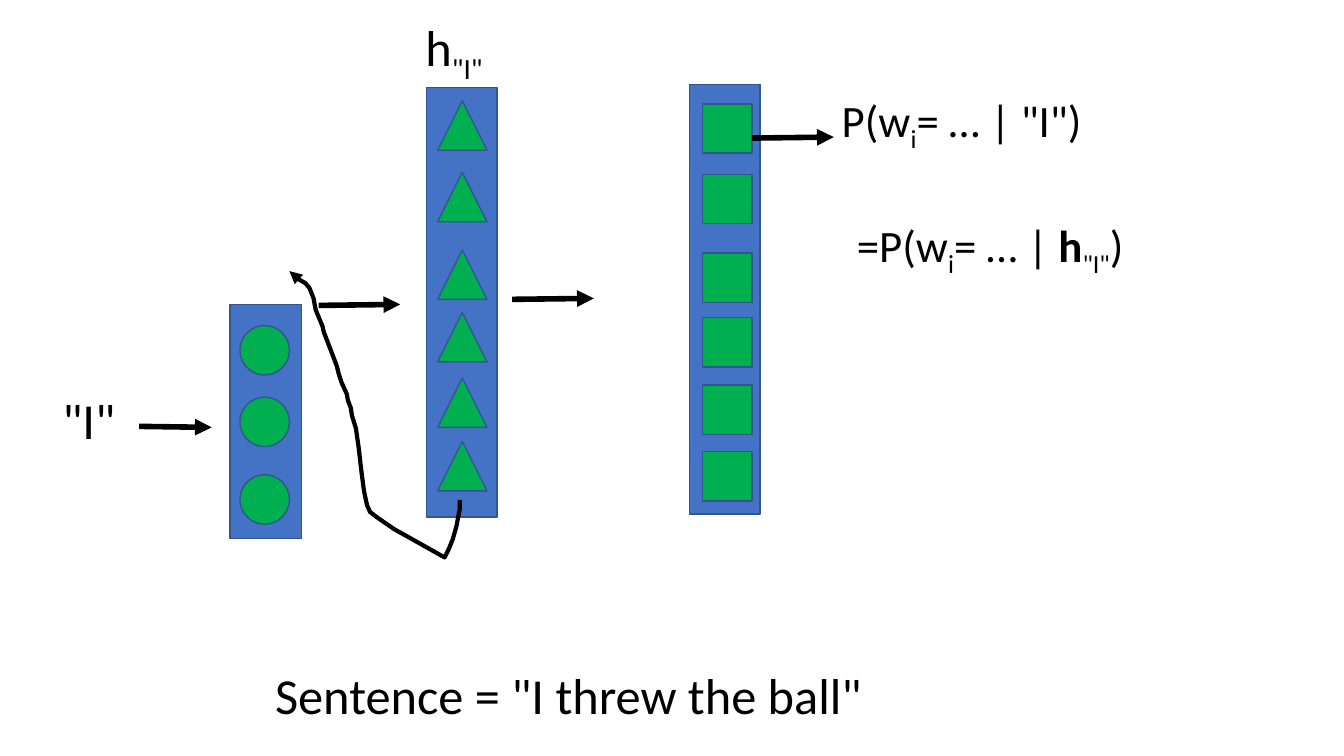
from pptx import Presentation
from pptx.dml.color import RGBColor
from pptx.enum.shapes import MSO_CONNECTOR, MSO_SHAPE
from pptx.enum.text import MSO_AUTO_SIZE
from pptx.oxml.ns import qn
from pptx.util import Inches, Pt
from lxml.etree import SubElement

BLUE = RGBColor(0x44, 0x72, 0xC4)
EDGE = RGBColor(0x32, 0x54, 0x91)
GREEN = RGBColor(0x00, 0xB0, 0x50)
BLACK = RGBColor(0, 0, 0)

deck = Presentation()
deck.slide_width = Inches(13.33)
deck.slide_height = Inches(7.5)
slide = deck.slides.add_slide(deck.slide_layouts[6])
shapes = slide.shapes


def block(home, kind, box, fill):
    shape = home.add_shape(kind, *map(Inches, box))
    shape.shadow.inherit = False
    shape.fill.solid()
    shape.fill.fore_color.rgb = fill
    shape.line.color.rgb = EDGE
    shape.line.width = Pt(1)


def arrow(shape, width):
    shape.line.color.rgb = BLACK
    shape.line.width = Pt(width)
    SubElement(shape.line._get_or_add_ln(), qn("a:tailEnd"), type="triangle")
    SubElement(shape._element.spPr, qn("a:effectLst"))


SIZE = 0.49
layers = [
    (MSO_SHAPE.OVAL, (2.28, 3.02, 0.71, 2.32), 2.38, [3.23, 3.94, 4.71]),
    (MSO_SHAPE.ISOSCELES_TRIANGLE, (4.23, 0.87, 0.7, 4.26), 4.34,
     [1, 1.71, 2.48, 3.1, 3.75, 4.38]),
    (MSO_SHAPE.RECTANGLE, (6.84, 0.84, 0.7, 4.26), 6.97,
     [1.03, 1.73, 2.51, 3.15, 3.82, 4.48]),
]
for kind, box, left, tops in layers:
    home = shapes.add_group_shape().shapes if kind == MSO_SHAPE.OVAL else shapes
    block(home, MSO_SHAPE.RECTANGLE, box, BLUE)
    for top in tops:
        block(home, kind, (left, top, SIZE, SIZE), GREEN)

labels = [
    ((0.52, 3.81, 0.73, 0.71), 36, False, [('"I"', "")]),
    ((2.63, 6.54, 6.07, 0.71), 36, False, [('Sentence = "I threw the ball"', "")]),
    ((8.25, 0.87, 2.84, 0.64), 32, True,
     [("P(w", ""), ("i", "sub"), ('= … | "I")', "")]),
    ((4.12, 0.11, 0.82, 0.71), 36, False, [("h", ""), ('"I"', "sub")]),
    ((8.4, 2.11, 3.81, 0.64), 32, True,
     [("=P(w", ""), ("i", "sub"), ("= … | ", ""), ("h", "bold"),
      ('"I"', "sub"), (")", "")]),
]
for box, size, wrap, parts in labels:
    frame = shapes.add_textbox(*map(Inches, box)).text_frame
    frame.word_wrap = wrap
    frame.auto_size = MSO_AUTO_SIZE.SHAPE_TO_FIT_TEXT
    for text, style in parts:
        run = frame.paragraphs[0].add_run()
        run.text = text
        looks = {"name": "Calibri", "size": Pt(size), "bold": style == "bold"}
        for key, value in looks.items():
            setattr(run.font, key, value)
        run.font.color.rgb = BLACK
        if style == "sub":
            run._r.get_or_add_rPr().set("baseline", "-25000")

arrows = [
    (1.38, 4.23, 2.1, 4.24),
    (7.46, 1.37, 8.27, 1.36),
    (3.16, 3.03, 3.97, 3.02),
    (5.08, 2.97, 5.89, 2.96),
]
for ends in arrows:
    arrow(shapes.add_connector(MSO_CONNECTOR.STRAIGHT, *map(Inches, ends)), 4)

curve = [
    (4.56, 4.96), (4.56, 5.05), (4.54, 5.15), (4.53, 5.21), (4.49, 5.35),
    (4.45, 5.45), (4.41, 5.53), (4.16, 5.39), (3.91, 5.25), (3.75, 5.14),
    (3.67, 5.08), (3.64, 5.01), (3.61, 4.87), (3.58, 4.64), (3.56, 4.46),
    (3.53, 4.25), (3.49, 4.12), (3.48, 4.05), (3.45, 3.97), (3.44, 3.91),
    (3.39, 3.8), (3.36, 3.71), (3.34, 3.63), (3.26, 3.42), (3.21, 3.29),
    (3.2, 3.24), (3.15, 3.12), (3.13, 3.07), (3.11, 2.96), (3.07, 2.86),
    (3.03, 2.81), (2.96, 2.77), (2.93, 2.75), (2.87, 2.69),
]
spots = [(Inches(x), Inches(y)) for x, y in curve]
pen = shapes.build_freeform(*spots[0])
pen.add_line_segments(spots[1:], close=False)
loop = pen.convert_to_shape()
loop.fill.background()
arrow(loop, 3)

deck.save("out.pptx")
